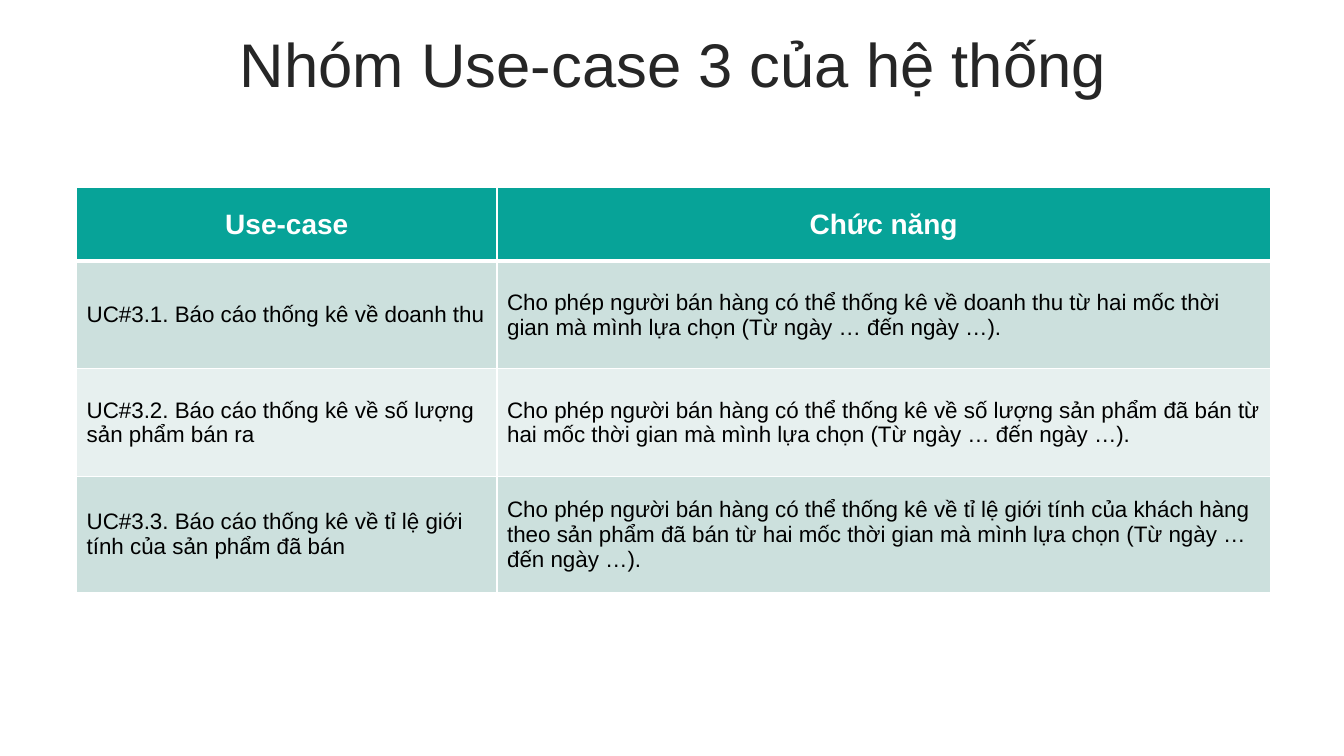
import pptx
import pptx.dml.color
import pptx.enum.text
import pptx.oxml
import pptx.oxml.ns
import pptx.util

Inches = pptx.util.Inches
Pt = pptx.util.Pt
ALIGN = pptx.enum.text.PP_ALIGN
MIDDLE = pptx.enum.text.MSO_ANCHOR.MIDDLE

COLORS = {
    "title": "262626",
    "header": "07A398",
    "odd_row": "CCE0DD",
    "even_row": "E7F0EF",
    "white": "FFFFFF",
    "black": "000000",
}

TITLE = "Nhóm Use-case 3 của hệ thống"
COLUMN_WIDTHS = [4.17, 7.67]
ROW_HEIGHTS = [0.73, 1.07, 1.07, 1.15]
USE_CASES = [
    ("Use-case", "Chức năng"),
    ("UC#3.1. Báo cáo thống kê về doanh thu",
     "Cho phép người bán hàng có thể thống kê về doanh thu từ hai mốc thời gian "
     "mà mình lựa chọn (Từ ngày … đến ngày …)."),
    ("UC#3.2. Báo cáo thống kê về số lượng sản phẩm bán ra",
     "Cho phép người bán hàng có thể thống kê về số lượng sản phẩm đã bán từ hai mốc "
     "thời gian mà mình lựa chọn (Từ ngày … đến ngày …)."),
    ("UC#3.3. Báo cáo thống kê về tỉ lệ giới tính của sản phẩm đã bán",
     "Cho phép người bán hàng có thể thống kê về tỉ lệ giới tính của khách hàng theo "
     "sản phẩm đã bán từ hai mốc thời gian mà mình lựa chọn (Từ ngày … đến ngày …)."),
]

TITLE_FONT = {"name": "Arial", "size": Pt(44), "bold": False}
HEADER_FONT = {"name": "Arial", "size": Pt(20), "bold": True}
BODY_FONT = {"name": "Arial", "size": Pt(16), "bold": False}


def rgb(color):
    return pptx.dml.color.RGBColor.from_string(COLORS[color])


def set_attributes(target, values):
    for name, value in values.items():
        setattr(target, name, value)


def write_text(text_frame, text, font, color, paragraph_format):
    paragraph = text_frame.paragraphs[0]
    set_attributes(paragraph, paragraph_format)
    run = paragraph.add_run()
    run.text = text
    set_attributes(run.font, font)
    run.font.color.rgb = rgb(color)


def set_borders(cell, widths):
    """Draw white borders; widths maps each side (L, R, T, B) to points."""
    properties = cell._tc.get_or_add_tcPr()
    for side, width in widths.items():
        properties.append(pptx.oxml.parse_xml(
            f'<a:ln{side} {pptx.oxml.ns.nsdecls("a")} w="{Pt(width)}">'
            f'<a:solidFill><a:srgbClr val="{COLORS["white"]}"/></a:solidFill>'
            f'</a:ln{side}>'))


def add_title(slide):
    box = slide.shapes.add_textbox(Inches(0.35), Inches(0.27), Inches(12.66), Inches(0.79))
    set_attributes(box.text_frame, {"word_wrap": True, "vertical_anchor": MIDDLE})
    write_text(box.text_frame, TITLE, TITLE_FONT, "title",
               {"alignment": ALIGN.CENTER, "line_spacing": 0.9, "space_before": Pt(10)})


def fill_cell(cell, text, row):
    is_header = row == 0
    set_borders(cell, {"L": 1, "R": 1, "T": 3 if row == 1 else 1, "B": 3 if is_header else 1})
    cell.fill.solid()
    cell.vertical_anchor = MIDDLE
    if is_header:
        cell.fill.fore_color.rgb = rgb("header")
        write_text(cell.text_frame, text, HEADER_FONT, "white", {"alignment": ALIGN.CENTER})
    else:
        cell.fill.fore_color.rgb = rgb("odd_row" if row % 2 else "even_row")
        write_text(cell.text_frame, text, BODY_FONT, "black", {"alignment": ALIGN.LEFT})


def add_use_case_table(slide):
    table = slide.shapes.add_table(
        len(ROW_HEIGHTS), len(COLUMN_WIDTHS), Inches(0.76), Inches(1.86),
        Inches(sum(COLUMN_WIDTHS)), Inches(sum(ROW_HEIGHTS))).table
    for column, width in zip(table.columns, COLUMN_WIDTHS):
        column.width = Inches(width)
    for row, height in zip(table.rows, ROW_HEIGHTS):
        row.height = Inches(height)
    for row, texts in enumerate(USE_CASES):
        for column, text in enumerate(texts):
            fill_cell(table.cell(row, column), text, row)


def main():
    presentation = pptx.Presentation()
    presentation.slide_width = Inches(13.33)
    presentation.slide_height = Inches(7.5)
    slide = presentation.slides.add_slide(presentation.slide_layouts[6])
    add_title(slide)
    add_use_case_table(slide)
    presentation.save("out.pptx")


if __name__ == "__main__":
    main()
